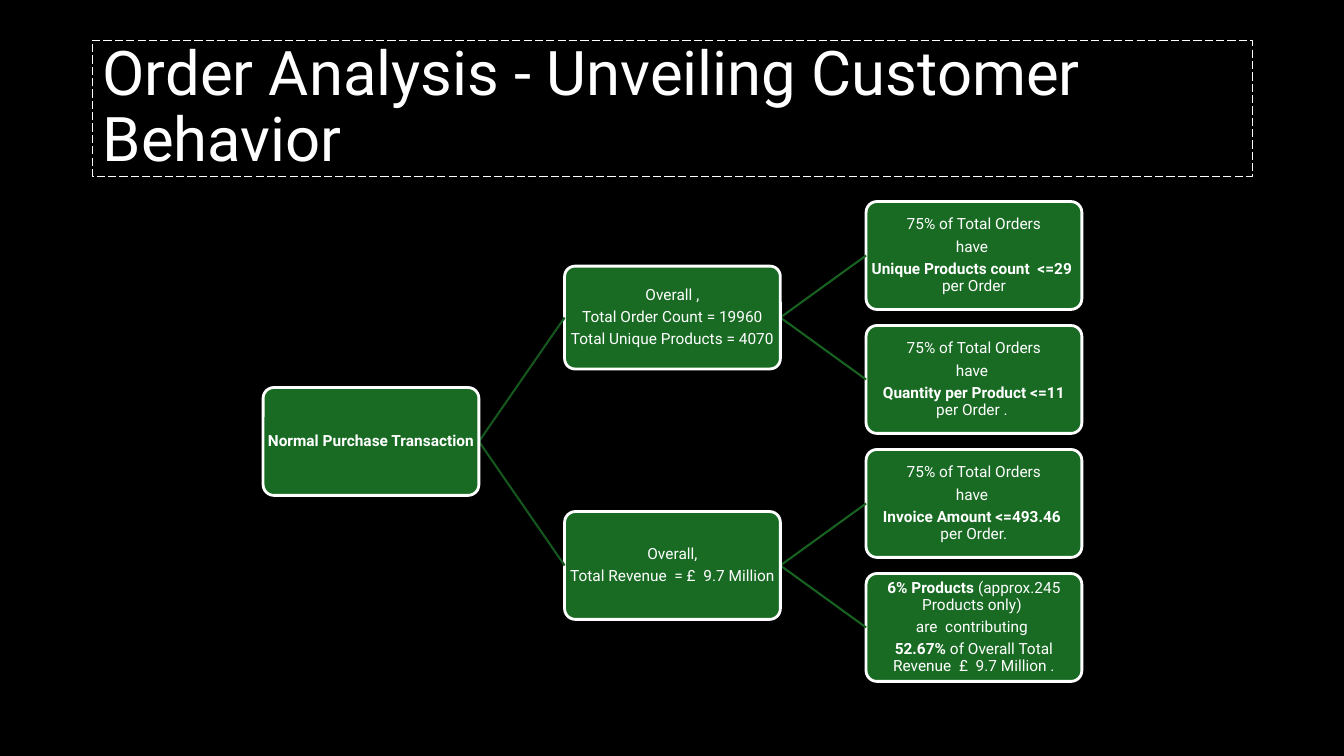
from dataclasses import dataclass

from lxml.etree import SubElement
from pptx import Presentation
from pptx.dml.color import RGBColor
from pptx.enum.dml import MSO_LINE
from pptx.enum.shapes import MSO_CONNECTOR, MSO_SHAPE
from pptx.enum.text import MSO_ANCHOR, PP_ALIGN
from pptx.oxml.ns import qn
from pptx.util import Inches, Pt


@dataclass(frozen=True)
class Theme:
    font: str = "Roboto"
    background: str = "000000"
    text: str = "FFFFFF"
    outline: str = "FFFFFF"
    box: str = "196B24"
    links: tuple = ("14561D", "176121")  # by level of the parent
    title_size: float = 44
    box_size: float = 11
    space_after: float = 4


# Tree grid in inches: one column per level, one row per leaf
LEFT, TOP = 2.61, 2.0
COL, ROW = 2.99, 1.23
BOX_W, BOX_H = 2.14, 1.07


@dataclass
class Node:
    lines: list  # each line is a (bold, plain) pair
    children: tuple = ()
    height: float = BOX_H


class TreeSlide:
    def __init__(self, prs, theme):
        self.theme = theme
        self.s = prs.slides.add_slide(prs.slide_layouts[6])
        fill = self.s.background.fill
        fill.solid()
        fill.fore_color.rgb = RGBColor.from_string(theme.background)

    def style(self, p, size):
        p.line_spacing = 0.9
        p.font.name = self.theme.font
        p.font.size = Pt(size)
        p.font.color.rgb = RGBColor.from_string(self.theme.text)

    def title(self, text, left, top, width, height):
        sp = self.s.shapes.add_textbox(*map(Inches, (left, top, width, height)))
        sp.line.color.rgb = RGBColor.from_string(self.theme.outline)
        sp.line.width = Pt(0.75)
        sp.line.dash_style = MSO_LINE.LONG_DASH
        tf = sp.text_frame
        tf.word_wrap = True
        tf.vertical_anchor = MSO_ANCHOR.MIDDLE
        p = tf.paragraphs[0]
        p.text = text
        self.style(p, self.theme.title_size)

    def box(self, node, col, row):
        top = TOP + row * ROW + (BOX_H - node.height) / 2
        sp = self.s.shapes.add_shape(
            MSO_SHAPE.ROUNDED_RECTANGLE, Inches(LEFT + col * COL), Inches(top),
            Inches(BOX_W), Inches(node.height))
        sp.adjustments[0] = 0.1
        sp.shadow.inherit = False
        sp.fill.solid()
        sp.fill.fore_color.rgb = RGBColor.from_string(self.theme.box)
        sp.line.color.rgb = RGBColor.from_string(self.theme.outline)
        sp.line.width = Pt(2)
        tf = sp.text_frame
        tf.word_wrap = True
        tf.vertical_anchor = MSO_ANCHOR.MIDDLE
        tf.margin_left = tf.margin_right = Inches(0.01)
        tf.margin_top = tf.margin_bottom = Inches(0.01)
        for i, line in enumerate(node.lines):
            p = tf.add_paragraph() if i else tf.paragraphs[0]
            p.alignment = PP_ALIGN.CENTER
            p.space_after = Pt(self.theme.space_after)
            self.style(p, self.theme.box_size)
            for text, bold in zip(line, (True, False)):
                if text:
                    r = p.add_run()
                    r.text = text
                    r.font.bold = bold

    def link(self, col, row, child_row):
        x = LEFT + col * COL + BOX_W
        y, child_y = (TOP + n * ROW + BOX_H / 2 for n in (row, child_row))
        c = self.s.shapes.add_connector(
            MSO_CONNECTOR.STRAIGHT, Inches(x), Inches(y),
            Inches(LEFT + (col + 1) * COL), Inches(child_y))
        c.line.color.rgb = RGBColor.from_string(self.theme.links[col])
        c.line.width = Pt(1.5)
        SubElement(c._element.spPr, qn("a:effectLst"))

    def tree(self, node, col=0, first_row=0):
        """Draw a node centred on its children; return its row and the next free row."""
        rows, free = [], first_row
        for child in node.children:
            row, free = self.tree(child, col + 1, free)
            rows.append(row)
        if not rows:
            rows, free = [first_row], first_row + 1
        row = sum(rows) / len(rows)
        if node.children:
            for child_row in rows:
                self.link(col, row, child_row)
        self.box(node, col, row)
        return row, free


def main():
    prs = Presentation()
    prs.slide_width, prs.slide_height = Inches(13.33), Inches(7.5)
    slide = TreeSlide(prs, Theme())

    # Title
    slide.title("Order Analysis - Unveiling Customer Behavior", 0.92, 0.4, 11.5, 1.35)

    # Leaves
    def share(bold, plain):
        return Node([("", "75% of Total Orders"), ("", "have "), (bold, plain)])

    products = share("Unique Products count  <=29 ", " per Order")
    quantity = share("Quantity per Product <=11 ", "per Order . ")
    invoice = share("Invoice Amount <=493.46  ", "per Order.")
    top_products = Node([
        ("6% Products ", "(approx.245 Products only) "),
        ("", "are  contributing "),
        ("52.67%", " of Overall Total Revenue  £  9.7 Million ."),
    ])

    # Branches and root
    orders = Node([
        ("", "Overall ,"),
        ("", "Total Order Count = 19960"),
        ("", "Total Unique Products = 4070"),
    ], (products, quantity), height=1.02)
    revenue = Node([
        ("", "Overall,"),
        ("", "Total Revenue  = £  9.7 Million "),
    ], (invoice, top_products))
    slide.tree(Node([("Normal Purchase Transaction ", "")], (orders, revenue)))

    prs.save("out.pptx")


if __name__ == "__main__":
    main()
